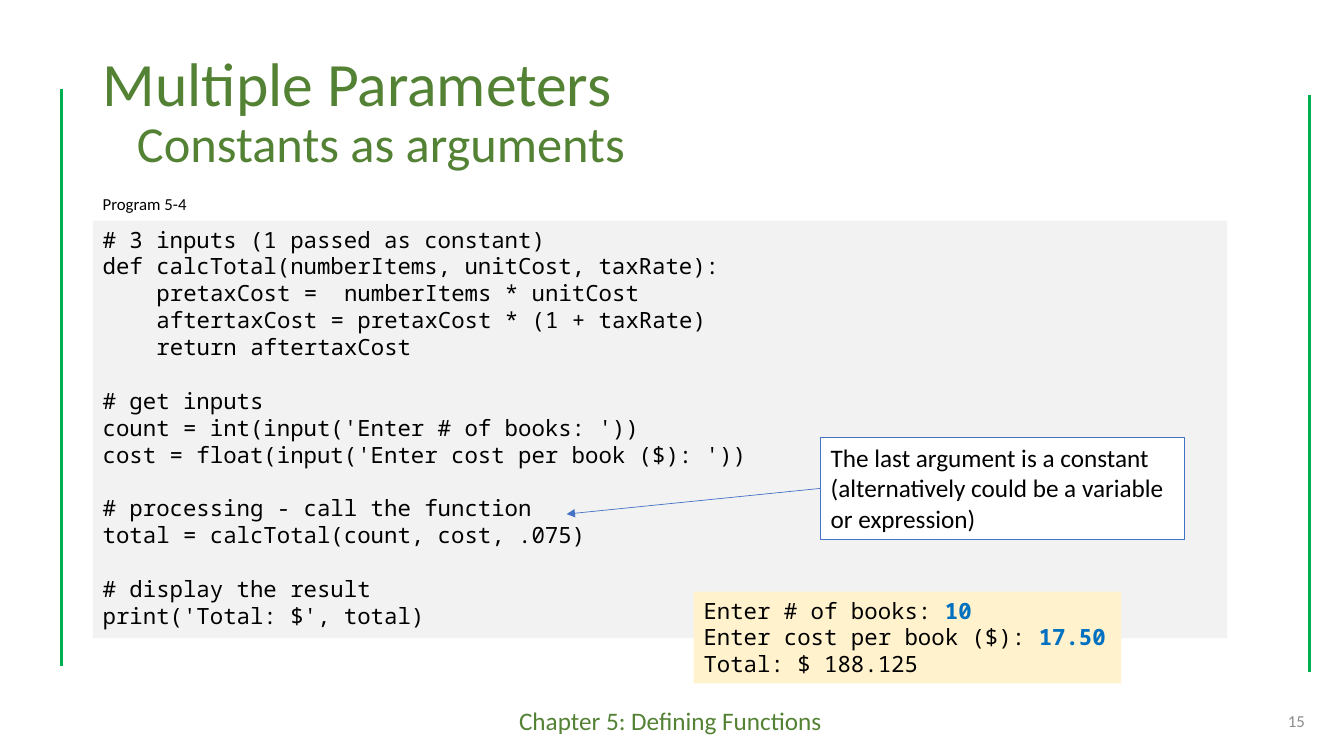
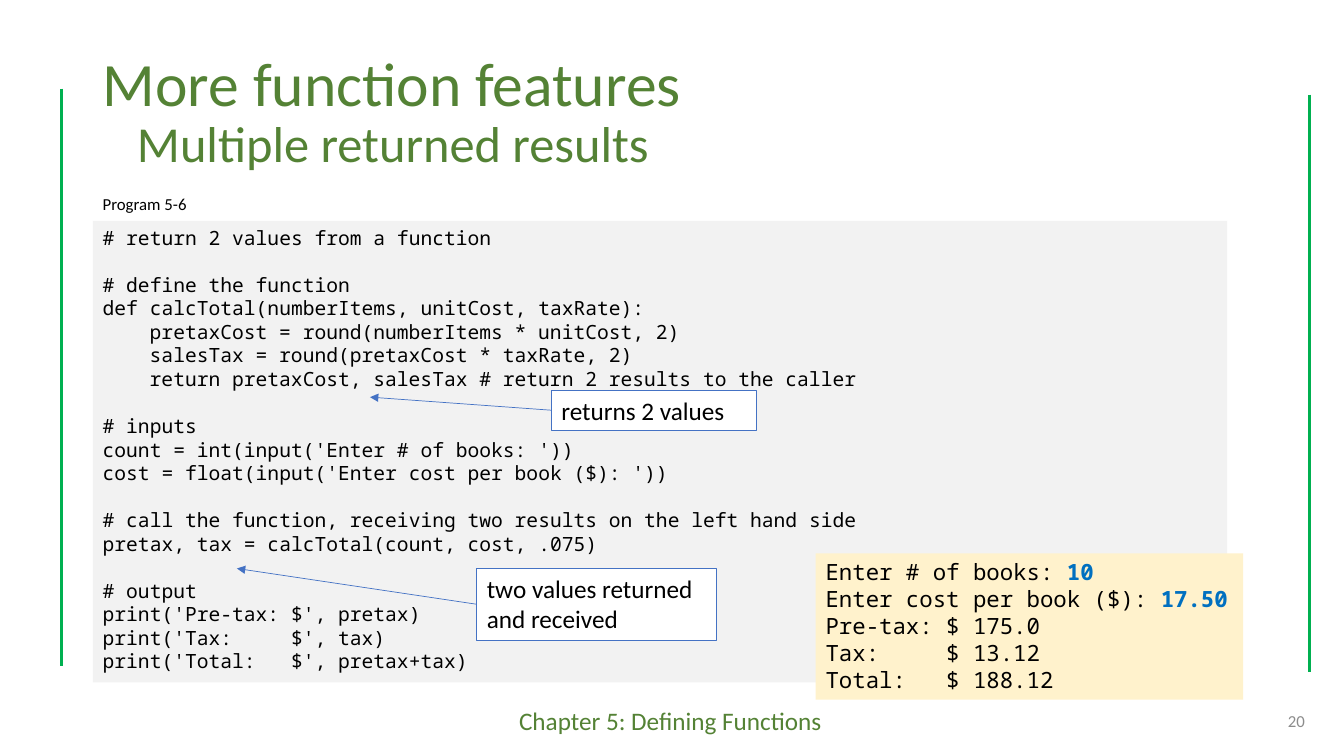
from lxml.etree import SubElement
from pptx import Presentation
from pptx.dml.color import RGBColor
from pptx.enum.shapes import MSO_CONNECTOR, MSO_SHAPE
from pptx.enum.text import MSO_ANCHOR, PP_ALIGN
from pptx.oxml.ns import qn
from pptx.util import Pt

EMU_PER_PX = 9144


def px(length):
    return round(length * EMU_PER_PX)


def color(hex_value):
    return RGBColor.from_string(hex_value)


class Lesson:
    SANS = "Calibri"
    MONO = "Noto Sans Mono"
    GREEN = "548235"
    RULE = "00B050"
    BLUE = "4472C4"
    ANSWER = "0070C0"
    BLACK = "000000"
    GRAY = "8C8C8C"
    CODE_FILL = "F2F2F2"
    OUTPUT_FILL = "FFF2CC"
    WHITE = "FFFFFF"
    LEFT = 92
    LINE_HEIGHT = 1.2
    MONO_ADVANCE = 0.6

    def __init__(self):
        self.deck = Presentation()
        self.deck.slide_width = px(1333)
        self.deck.slide_height = px(750)
        self.slide = None

    def add_slide(self, title, subtitle, number, program):
        self.slide = self.deck.slides.add_slide(self.deck.slide_layouts[6])
        self.label("Chapter 5: Defining Functions", 505, 695, 330, 40, 18, self.GREEN)
        for x, top in ((61, 88), (1299, 94)):
            self.line(x, top, x, top + 573, self.RULE, 2.25)
        self.title(title, subtitle)
        page = self.label(str(number), 1004, 695, 300, 40, 12, self.GRAY)
        page.vertical_anchor = MSO_ANCHOR.MIDDLE
        page.paragraphs[0].alignment = PP_ALIGN.RIGHT
        self.label(program, self.LEFT, 187, 203, 30, 12, self.BLACK)

    def style(self, paragraph, size, hex_value, face=SANS):
        paragraph.font.name = face
        paragraph.font.size = Pt(size)
        paragraph.font.color.rgb = color(hex_value)

    def label(self, text, left, top, width, height, size, hex_value):
        box = self.slide.shapes.add_textbox(px(left), px(top), px(width), px(height))
        frame = box.text_frame
        frame.word_wrap = True
        frame.text = text
        self.style(frame.paragraphs[0], size, hex_value)
        return frame

    def title(self, heading, subtitle):
        frame = self.label(heading, self.LEFT, 40, 1150, 145, 44, self.GREEN)
        frame.vertical_anchor = MSO_ANCHOR.MIDDLE
        second = frame.add_paragraph()
        second.text = subtitle
        self.style(second, 36, self.GREEN)
        self.indent(second, 34)
        for paragraph in frame.paragraphs:
            paragraph.line_spacing = 0.9

    def indent(self, paragraph, distance):
        paragraph._p.get_or_add_pPr().set("marL", str(px(distance)))

    def panel(self, left, top, width, height, fill, border=None):
        panel = self.slide.shapes.add_shape(
            MSO_SHAPE.RECTANGLE, px(left), px(top), px(width), px(height))
        panel.shadow.inherit = False
        panel.fill.solid()
        panel.fill.fore_color.rgb = color(fill)
        if border:
            panel.line.color.rgb = color(border)
            panel.line.width = Pt(0.75)
        else:
            panel.line.fill.background()
        panel.text_frame.word_wrap = True
        panel.text_frame.vertical_anchor = MSO_ANCHOR.TOP
        panel.text_frame.paragraphs[0].alignment = PP_ALIGN.LEFT
        return panel

    def paragraph(self, frame, index):
        paragraph = frame.add_paragraph() if index else frame.paragraphs[0]
        paragraph.alignment = PP_ALIGN.LEFT
        return paragraph

    def code(self, listing, height, size):
        frame = self.panel(self.LEFT, 219, 1125, height, self.CODE_FILL).text_frame
        index = 0
        for block in listing.strip().split("\n\n"):
            for position, source_line in enumerate(block.split("\n")):
                paragraph = self.paragraph(frame, index)
                statement = source_line.lstrip()
                paragraph.text = statement
                self.style(paragraph, size, self.BLACK, self.MONO)
                depth = len(source_line) - len(statement)
                if depth:
                    self.indent(paragraph, depth * self.MONO_ADVANCE * size * 100 / 72)
                if index and position == 0:
                    paragraph.space_before = Pt(size * self.LINE_HEIGHT)
                index += 1

    def output(self, left, top, height, results):
        frame = self.panel(left, top, 424, height, self.OUTPUT_FILL).text_frame
        prompts = [("Enter # of books: ", "10"), ("Enter cost per book ($): ", "17.50")]
        for index, (printed, typed) in enumerate(prompts + [(r, "") for r in results]):
            paragraph = self.paragraph(frame, index)
            self.style(paragraph, 16, self.BLACK, self.MONO)
            paragraph.add_run().text = printed
            if typed:
                answer = paragraph.add_run()
                answer.text = typed
                answer.font.bold = True
                answer.font.color.rgb = color(self.ANSWER)

    def line(self, x1, y1, x2, y2, hex_value, weight):
        line = self.slide.shapes.add_connector(
            MSO_CONNECTOR.STRAIGHT, px(x1), px(y1), px(x2), px(y2))
        line.line.color.rgb = color(hex_value)
        line.line.width = Pt(weight)
        SubElement(line._element.spPr, qn("a:effectLst"))
        return line

    def callout(self, text, left, top, width, height, target):
        note = self.panel(left, top, width, height, self.WHITE, self.BLUE)
        note.text_frame.text = text
        self.style(note.text_frame.paragraphs[0], 18, self.BLACK)
        arrow = self.line(left, top + height / 2, *target, self.BLUE, 0.5)
        arrow.begin_connect(note, 1)
        SubElement(arrow.line._get_or_add_ln(), qn("a:tailEnd"), type="triangle")

    def save(self):
        self.deck.save("out.pptx")


CONSTANT_ARGUMENT = """
# 3 inputs (1 passed as constant)
def calcTotal(numberItems, unitCost, taxRate):
    pretaxCost =  numberItems * unitCost
    aftertaxCost = pretaxCost * (1 + taxRate)
    return aftertaxCost

# get inputs
count = int(input('Enter # of books: '))
cost = float(input('Enter cost per book ($): '))

# processing - call the function
total = calcTotal(count, cost, .075)

# display the result
print('Total: $', total)
"""

TWO_RESULTS = """
# return 2 values from a function

# define the function
def calcTotal(numberItems, unitCost, taxRate):
    pretaxCost = round(numberItems * unitCost, 2)
    salesTax = round(pretaxCost * taxRate, 2)
    return pretaxCost, salesTax # return 2 results to the caller

# inputs
count = int(input('Enter # of books: '))
cost = float(input('Enter cost per book ($): '))

# call the function, receiving two results on the left hand side
pretax, tax = calcTotal(count, cost, .075)

# output
print('Pre-tax: $', pretax)
print('Tax:     $', tax)
print('Total:   $', pretax+tax)
"""


def main():
    lesson = Lesson()

    lesson.add_slide("Multiple Parameters", "Constants as arguments", 15, "Program 5-4")
    lesson.code(CONSTANT_ARGUMENT, 414, 16)
    lesson.output(688, 587, 91, ["Total: $ 188.125"])
    lesson.callout(
        "The last argument is a constant (alternatively could be a variable or expression)",
        814, 434, 361, 101, (562, 510))

    lesson.add_slide("More function features", "Multiple returned results", 20, "Program 5-6")
    lesson.code(TWO_RESULTS, 458, 14)
    lesson.output(809, 549, 145,
                  ["Pre-tax: $ 175.0", "Tax:     $ 13.12", "Total:   $ 188.12"])
    lesson.callout("returns 2 values", 547, 387, 203, 40, (367, 394))
    lesson.callout("two values returned and received", 473, 564, 238, 71, (235, 564))

    lesson.save()


if __name__ == "__main__":
    main()
